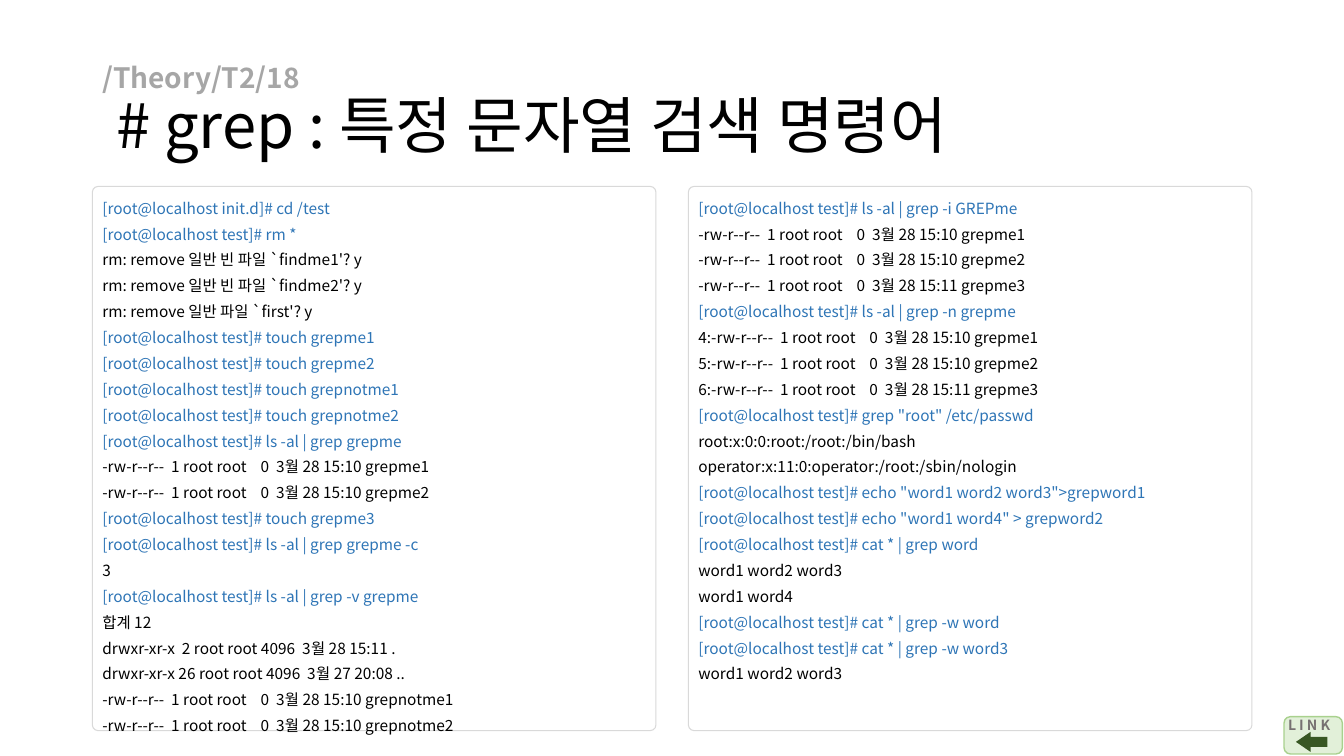
from dataclasses import dataclass

from lxml.etree import SubElement
from pptx import Presentation
from pptx.dml.color import RGBColor
from pptx.enum.shapes import MSO_SHAPE as Preset
from pptx.enum.text import MSO_ANCHOR as Anchor, MSO_AUTO_SIZE as AutoSize
from pptx.oxml.ns import qn
from pptx.shapes.autoshape import Shape
from pptx.slide import Slide
from pptx.text.text import _Run as Run
from pptx.util import Cm, Pt

FONT = "Noto Sans CJK KR"
BLACK = RGBColor(0x00, 0x00, 0x00)
PATH_GREY = RGBColor(0xA6, 0xA6, 0xA6)
COMMAND_BLUE = RGBColor(0x2E, 0x75, 0xB6)
PANEL_GREY = RGBColor(0xD9, 0xD9, 0xD9)
BADGE_FILL = RGBColor(0xE2, 0xF0, 0xD9)
BADGE_LINE = RGBColor(0xA9, 0xD1, 0x8E)
BADGE_TEXT = RGBColor(0x76, 0x71, 0x71)
ARROW_GREEN = RGBColor(0x38, 0x57, 0x23)
PROMPT = "[root@"


@dataclass(frozen=True)
class Area:
    """Place and size in centimetres."""
    left: float
    top: float
    width: float
    height: float

    def lengths(self) -> tuple[Cm, Cm, Cm, Cm]:
        return Cm(self.left), Cm(self.top), Cm(self.width), Cm(self.height)


@dataclass(frozen=True)
class Terminal:
    left: float
    text_height: float
    session: tuple[str, ...]


TERMINAL_TOP, TERMINAL_WIDTH, TERMINAL_HEIGHT = 4.7, 14.2, 13.71

TERMINALS = [
    Terminal(2.33, 14.65, (
        "[root@localhost init.d]# cd /test",
        "[root@localhost test]# rm *",
        "rm: remove 일반 빈 파일 `findme1'? y",
        "rm: remove 일반 빈 파일 `findme2'? y",
        "rm: remove 일반 파일 `first'? y",
        "[root@localhost test]# touch grepme1",
        "[root@localhost test]# touch grepme2",
        "[root@localhost test]# touch grepnotme1",
        "[root@localhost test]# touch grepnotme2",
        "[root@localhost test]# ls -al | grep grepme",
        "-rw-r--r--  1 root root    0  3월 28 15:10 grepme1",
        "-rw-r--r--  1 root root    0  3월 28 15:10 grepme2",
        "[root@localhost test]# touch grepme3",
        "[root@localhost test]# ls -al | grep grepme -c",
        "3",
        "[root@localhost test]# ls -al | grep -v grepme",
        "합계 12",
        "drwxr-xr-x  2 root root 4096  3월 28 15:11 .",
        "drwxr-xr-x 26 root root 4096  3월 27 20:08 ..",
        "-rw-r--r--  1 root root    0  3월 28 15:10 grepnotme1",
        "-rw-r--r--  1 root root    0  3월 28 15:10 grepnotme2",
    )),
    Terminal(17.35, 13.34, (
        "[root@localhost test]# ls -al | grep -i GREPme",
        "-rw-r--r--  1 root root    0  3월 28 15:10 grepme1",
        "-rw-r--r--  1 root root    0  3월 28 15:10 grepme2",
        "-rw-r--r--  1 root root    0  3월 28 15:11 grepme3",
        "[root@localhost test]# ls -al | grep -n grepme",
        "4:-rw-r--r--  1 root root    0  3월 28 15:10 grepme1",
        "5:-rw-r--r--  1 root root    0  3월 28 15:10 grepme2",
        "6:-rw-r--r--  1 root root    0  3월 28 15:11 grepme3",
        '[root@localhost test]# grep "root" /etc/passwd',
        "root:x:0:0:root:/root:/bin/bash",
        "operator:x:11:0:operator:/root:/sbin/nologin",
        '[root@localhost test]# echo "word1 word2 word3">grepword1',
        '[root@localhost test]# echo "word1 word4" > grepword2',
        "[root@localhost test]# cat * | grep word",
        "word1 word2 word3",
        "word1 word4",
        "[root@localhost test]# cat * | grep -w word",
        "[root@localhost test]# cat * | grep -w word3",
        "word1 word2 word3",
    )),
]


def style_run(span: Run, size: float, color: RGBColor, bold: bool = False) -> None:
    span.font.name = FONT
    span.font.size = Pt(size)
    span.font.bold = bold
    span.font.color.rgb = color
    SubElement(span.font._element, qn("a:ea")).set("typeface", FONT)


def add_text(page: Slide, area: Area, text: str) -> Shape:
    box = page.shapes.add_textbox(*area.lengths())
    box.text_frame.word_wrap = True
    box.text_frame.text = text
    return box


def add_preset(page: Slide, preset: Preset, area: Area, adjustments: list[float],
               fill: RGBColor | None = None, line: RGBColor | None = None,
               line_width: float = 0) -> None:
    """Draw a preset shape; a missing fill or line colour leaves that part clear."""
    shape = page.shapes.add_shape(preset, *area.lengths())
    shape.shadow.inherit = False
    for index, value in enumerate(adjustments):
        shape.adjustments[index] = value
    if fill is None:
        shape.fill.background()
    else:
        shape.fill.solid()
        shape.fill.fore_color.rgb = fill
    if line is None:
        shape.line.fill.background()
    else:
        shape.line.color.rgb = line
        shape.line.width = Pt(line_width)


def add_title(page: Slide) -> None:
    box = add_text(page, Area(2.33, 1.01, 29.21, 3.68), "")
    box.text_frame.vertical_anchor = Anchor.MIDDLE
    para = box.text_frame.paragraphs[0]
    para.text = "/Theory/T2/18\n # grep : 특정 문자열 검색 명령어"
    para.line_spacing = 0.9
    location, heading = para.runs
    style_run(location, 20, PATH_GREY, bold=True)
    style_run(heading, 44, BLACK)


def add_terminal(page: Slide, terminal: Terminal) -> None:
    panel = Area(terminal.left, TERMINAL_TOP, TERMINAL_WIDTH, TERMINAL_HEIGHT)
    add_preset(page, Preset.ROUNDED_RECTANGLE, panel, [0.01], line=PANEL_GREY)
    text_area = Area(terminal.left, TERMINAL_TOP, TERMINAL_WIDTH, terminal.text_height)
    box = add_text(page, text_area, "\n".join(terminal.session))
    box.text_frame.auto_size = AutoSize.SHAPE_TO_FIT_TEXT
    for para in box.text_frame.paragraphs:
        para.line_spacing = 1.4
        color = COMMAND_BLUE if para.text.startswith(PROMPT) else BLACK
        style_run(para.runs[0], 11, color)


def add_link_badge(page: Slide) -> None:
    add_preset(page, Preset.ROUNDED_RECTANGLE, Area(32.36, 18.06, 1.47, 0.94), [0.17],
               fill=BADGE_FILL, line=BADGE_LINE, line_width=1)
    label = add_text(page, Area(32.21, 17.93, 1.88, 1.12), "L I N K")
    style_run(label.text_frame.paragraphs[0].runs[0], 10, BADGE_TEXT, bold=True)
    add_preset(page, Preset.LEFT_ARROW, Area(32.66, 18.44, 0.79, 0.51), [0.5, 0.73],
               fill=ARROW_GREEN)


def main() -> None:
    deck = Presentation()
    deck.slide_width, deck.slide_height = Cm(33.87), Cm(19.05)
    page = deck.slides.add_slide(deck.slide_layouts[6])
    add_title(page)
    for terminal in TERMINALS:
        add_terminal(page, terminal)
    add_link_badge(page)
    deck.save("out.pptx")


if __name__ == "__main__":
    main()
